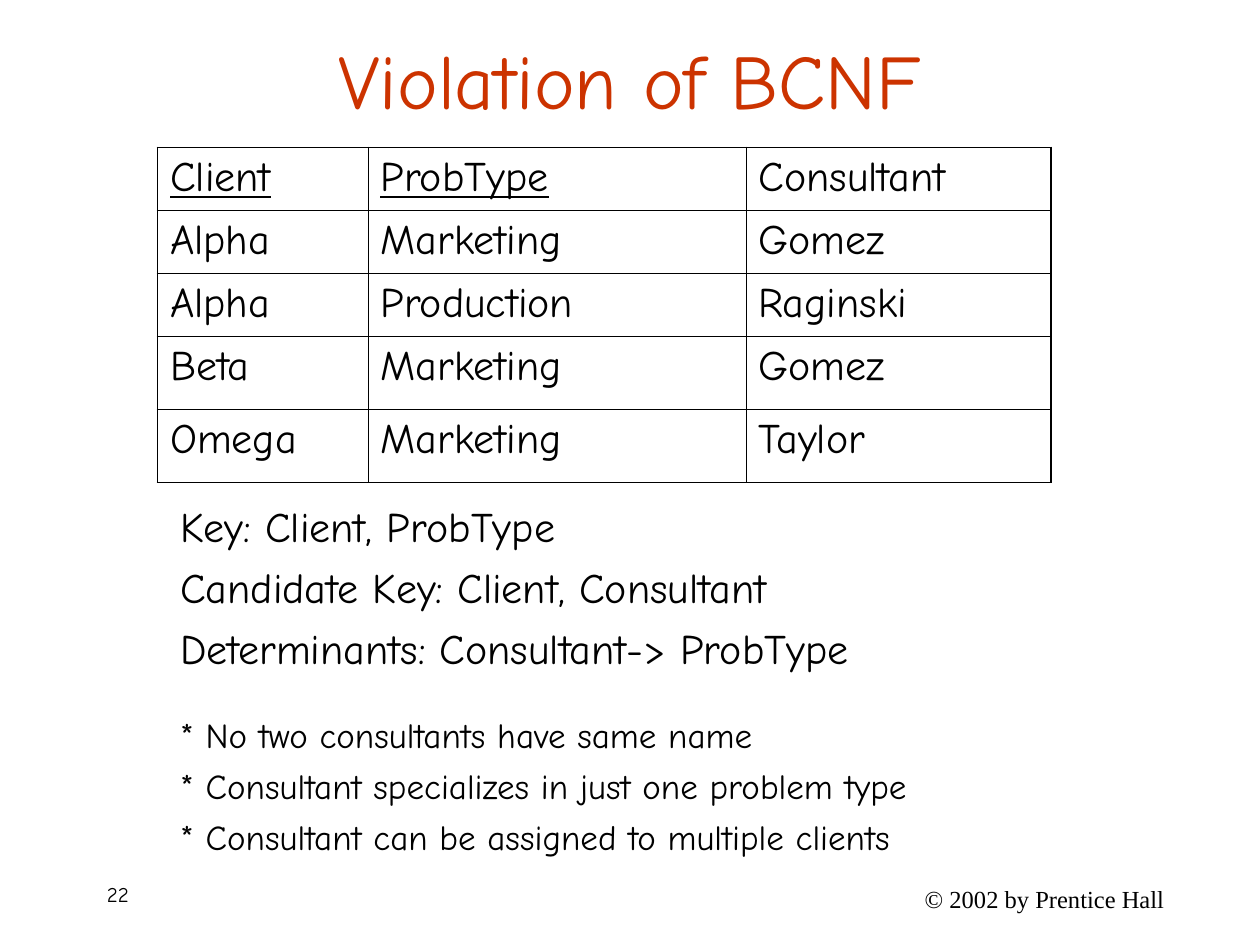
from lxml.etree import SubElement
from pptx import Presentation
from pptx.dml.color import RGBColor
from pptx.enum.text import MSO_ANCHOR, MSO_AUTO_SIZE, PP_ALIGN
from pptx.oxml.ns import qn
from pptx.util import Inches, Pt

COLORS = {"title": "CC3300", "ink": "000000"}
HAND, SERIF = "Comic Neue", "Times New Roman"

TITLE = "Violation of BCNF"
KEY_COLUMNS = {"Client", "ProbType"}
ASSIGNMENTS = [
    ("Client", "ProbType", "Consultant"),
    ("Alpha", "Marketing", "Gomez"),
    ("Alpha", "Production", "Raginski"),
    ("Beta", "Marketing", "Gomez"),
    ("Omega", "Marketing", "Taylor"),
]
COLUMN_WIDTHS = [1.67, 3, 2.42]
ROW_HEIGHTS = [0.5, 0.5, 0.5, 0.58, 0.58]
THIN, THICK = 0.45, 1.08

STATEMENTS = [
    ("Key: Client, ProbType", 24, 0),
    ("Candidate Key: Client, Consultant", 24, 6),
    ("Determinants: Consultant-> ProbType", 24, 6),
    ("* No two consultants have same name", 20, 23.5),
    ("* Consultant specializes in just one problem type", 20, 5),
    ("* Consultant can be assigned to multiple clients", 20, 5),
]
FOOTERS = [
    ("22", 0.75, 2.08, 0.25, 12, HAND, PP_ALIGN.LEFT),
    ("© 2002 by Prentice Hall", 6.17, 3.17, 0.27, 14, SERIF, PP_ALIGN.RIGHT),
]


def write(paragraph, text, size, font=HAND, color="ink"):
    run = paragraph.add_run()
    run.text = text
    run.font.size = Pt(size)
    run.font.name = font
    run.font.color.rgb = RGBColor.from_string(COLORS[color])
    return run


def place(box, left, top, width, height):
    box.left, box.top = Inches(left), Inches(top)
    box.width, box.height = Inches(width), Inches(height)


def border(cell, widths):
    properties = cell._tc.get_or_add_tcPr()
    for position, (side, width) in enumerate(widths.items()):
        line = SubElement(properties, qn(f"a:ln{side}"), w=str(Pt(width)))
        fill = SubElement(line, qn("a:solidFill"))
        SubElement(fill, qn("a:srgbClr"), val=COLORS["ink"])
        properties.insert(position, line)


def add_title(slide):
    title = slide.shapes.title
    place(title, 0.75, 0, 8.5, 1.25)
    frame = title.text_frame
    frame.auto_size = MSO_AUTO_SIZE.NONE
    frame.vertical_anchor = MSO_ANCHOR.MIDDLE
    frame.paragraphs[0].alignment = PP_ALIGN.CENTER
    write(frame.paragraphs[0], TITLE, 44, color="title")


def add_assignments(slide):
    rows, columns = len(ASSIGNMENTS), len(COLUMN_WIDTHS)
    table = slide.shapes.add_table(
        rows, columns, Inches(1.25), Inches(1.17),
        Inches(sum(COLUMN_WIDTHS)), Inches(sum(ROW_HEIGHTS))).table
    table.first_row = table.horz_banding = False
    for column, width in zip(table.columns, COLUMN_WIDTHS):
        column.width = Inches(width)
    for r, (values, height) in enumerate(zip(ASSIGNMENTS, ROW_HEIGHTS)):
        table.rows[r].height = Inches(height)
        for c, value in enumerate(values):
            cell = table.cell(r, c)
            cell.fill.background()
            run = write(cell.text_frame.paragraphs[0], value, 24)
            if r == 0 and value in KEY_COLUMNS:
                run.font.underline = True
            outer = {"L": c == 0, "R": c == columns - 1,
                     "T": r == 0, "B": r == rows - 1}
            border(cell, {side: THICK if edge else THIN
                          for side, edge in outer.items()})


def add_statements(slide):
    body = slide.placeholders[1]
    place(body, 0.33, 3.92, 9, 2.17)
    frame = body.text_frame
    frame.auto_size = MSO_AUTO_SIZE.NONE
    frame.vertical_anchor = MSO_ANCHOR.TOP
    for index, (text, size, gap) in enumerate(STATEMENTS):
        paragraph = frame.add_paragraph() if index else frame.paragraphs[0]
        properties = paragraph._p.get_or_add_pPr()
        properties.set("marL", str(Inches(1)))
        properties.set("indent", "0")
        SubElement(properties, qn("a:buNone"))
        paragraph.space_before = Pt(gap)
        write(paragraph, text, size)


def add_footers(slide):
    for text, left, width, inset, size, font, alignment in FOOTERS:
        footer = slide.shapes.add_textbox(
            Inches(left), Inches(6.75), Inches(width), Inches(0.5))
        frame = footer.text_frame
        frame.word_wrap = True
        frame.margin_top = Inches(inset)
        frame.paragraphs[0].alignment = alignment
        write(frame.paragraphs[0], text, size, font)


def main():
    deck = Presentation()
    deck.slide_width, deck.slide_height = Inches(10), Inches(7.5)
    slide = deck.slides.add_slide(deck.slide_layouts[1])
    add_title(slide)
    add_assignments(slide)
    add_statements(slide)
    add_footers(slide)
    deck.save("out.pptx")


if __name__ == "__main__":
    main()
